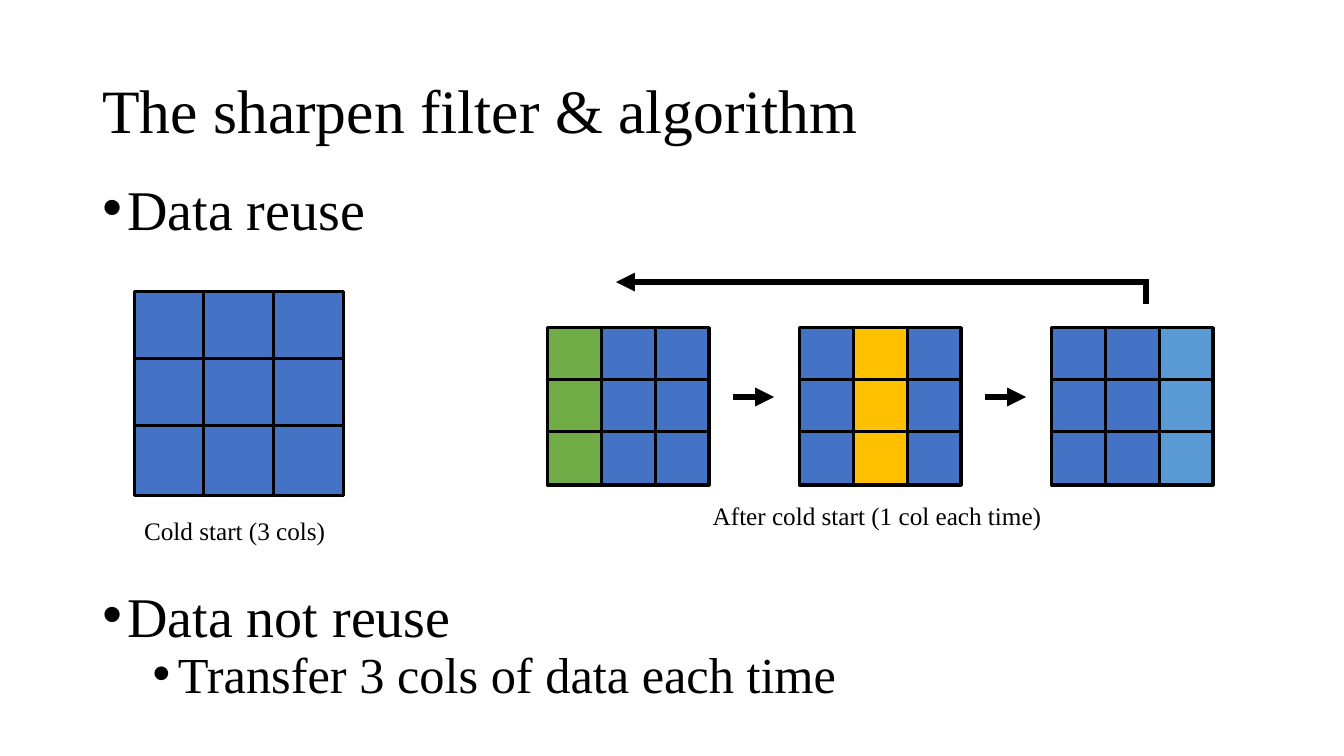
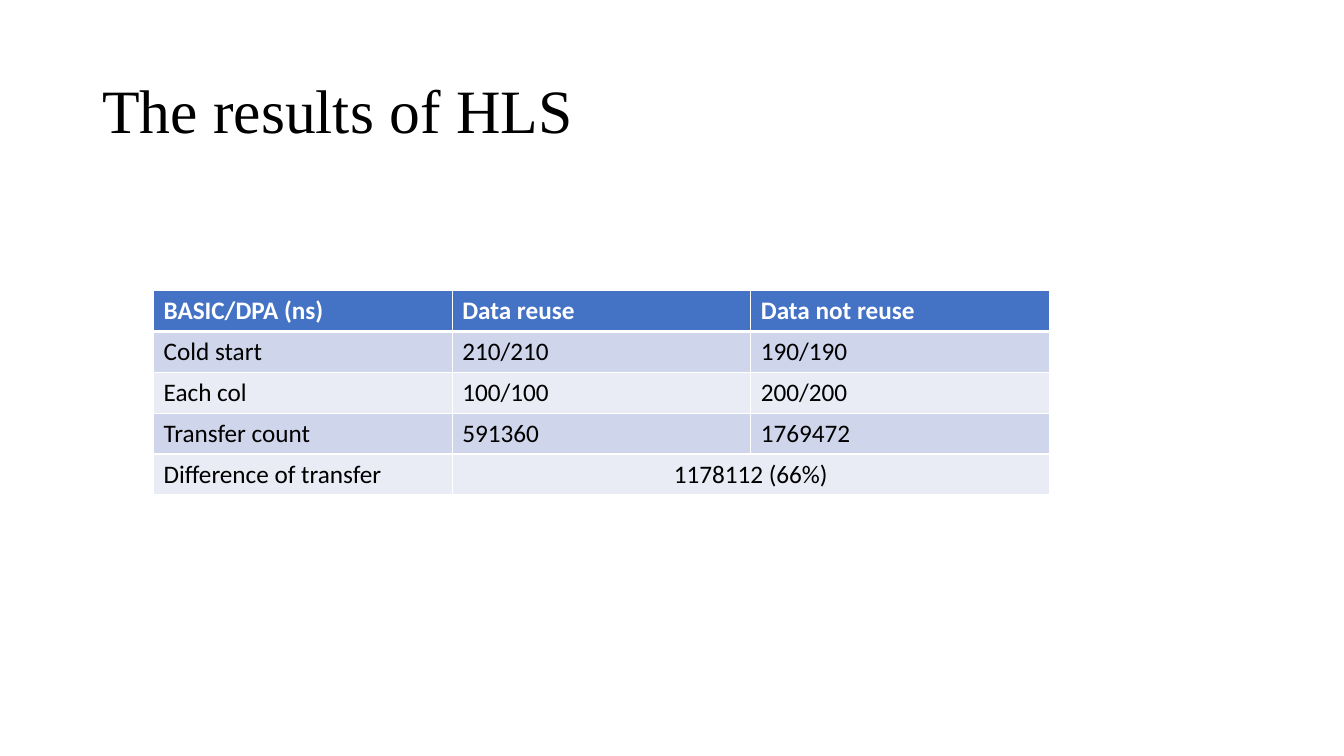
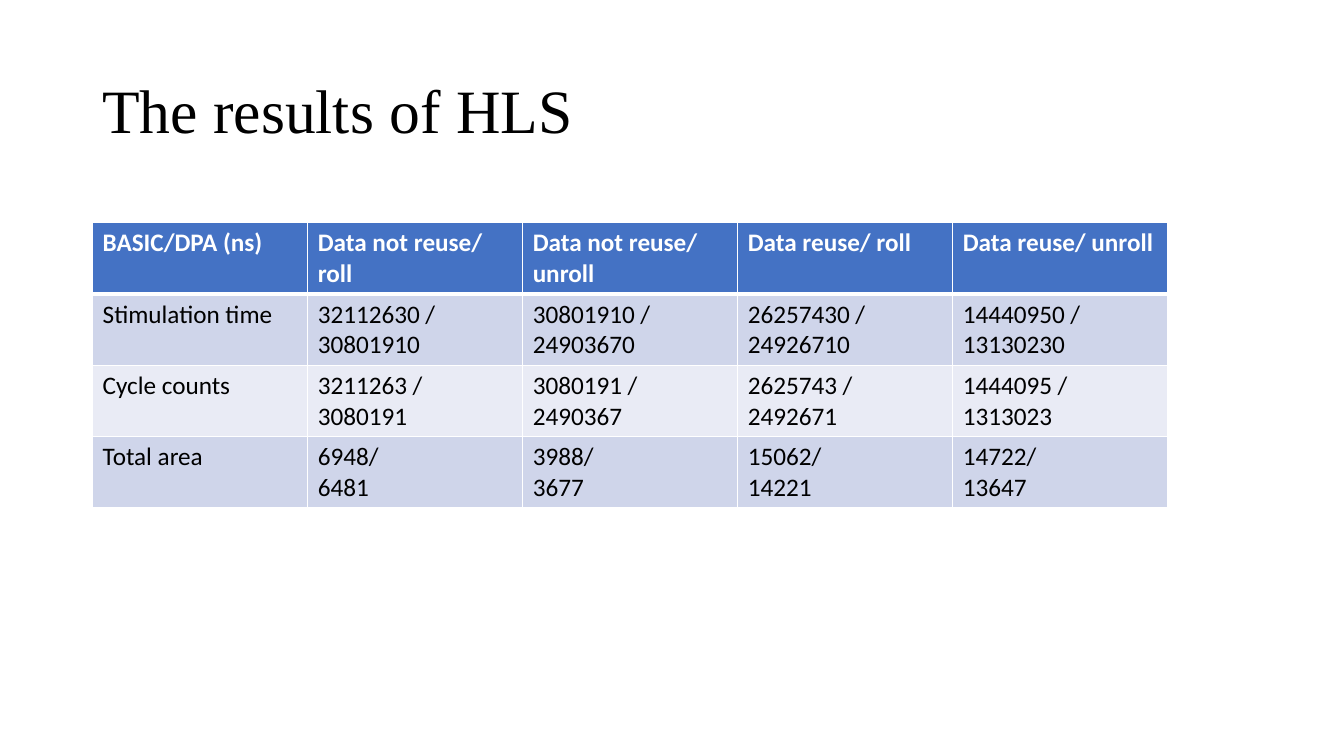
from lxml import etree
from pptx import Presentation
from pptx.dml.color import RGBColor
from pptx.enum import shapes, text
from pptx.oxml import ns
from pptx.util import Pt

COLORS = {
    "ink": "000000", "paper": "FFFFFF", "blue": "4472C4", "green": "70AD47",
    "gold": "FFC000", "sky": "5B9BD5", "band": "CFD5EA", "pale": "E9EBF5",
}
SERIF, SANS = "Times New Roman", "Calibri"
TITLE_BOX = (66, 28.75, 828, 104.4)
BULLET_STYLES = [
    {"size": 40, "margin": 18, "before": 10},
    {"size": 36, "margin": 54, "before": 5},
]
TIMING_ROWS = [
    ["BASIC/DPA (ns)", "Data reuse", "Data not reuse"],
    ["Cold start", "210/210", "190/190"],
    ["Each col", "100/100", "200/200"],
    ["Transfer count", "591360", "1769472"],
    ["Difference of transfer", "1178112 (66%)", ""],
]
COST_ROWS = [
    ["BASIC/DPA (ns)", "Data not reuse/ roll", "Data not reuse/ unroll",
     "Data reuse/ roll", "Data reuse/ unroll"],
    ["Stimulation time", "32112630 / 30801910", "30801910 / 24903670",
     "26257430 / 24926710", "14440950 / 13130230"],
    ["Cycle counts", "3211263 / 3080191", "3080191 / 2490367",
     "2625743 / 2492671", "1444095 / 1313023"],
    ["Total area", "6948/\n6481", "3988/\n3677", "15062/\n14221", "14722/\n13647"],
]


def rgb(name):
    """Return the named colour."""
    return RGBColor.from_string(COLORS[name])


def points(box):
    """Convert a sequence of numbers to lengths."""
    return [Pt(value) for value in box]


def apply(target, values):
    """Set each attribute of the target from a dict."""
    for key, value in values.items():
        setattr(target, key, value)


def style_font(font, size, face, color="ink", bold=False):
    """Set size, face, weight and colour of a font."""
    apply(font, {"size": Pt(size), "name": face, "bold": bold})
    font.color.rgb = rgb(color)


def add_text(slide, box, content, size, paragraph_format=None, anchor=text.MSO_ANCHOR.TOP):
    """Place one wrapped serif paragraph and return it."""
    frame = slide.shapes.add_textbox(*points(box)).text_frame
    apply(frame, {"word_wrap": True, "vertical_anchor": anchor, "text": content})
    line = frame.paragraphs[0]
    apply(line, paragraph_format or {})
    style_font(line.runs[0].font, size, SERIF)
    return line


def titled_slide(deck, title):
    """Add a blank slide with the shared title."""
    slide = deck.slides.add_slide(deck.slide_layouts[6])
    add_text(slide, TITLE_BOX, title, 44, {"line_spacing": 0.9}, text.MSO_ANCHOR.MIDDLE)
    return slide


def add_bullet(slide, box, content, level=0):
    """Place a bulleted line at the given level."""
    style = BULLET_STYLES[level]
    line = add_text(slide, box, content, style["size"],
                    {"line_spacing": 0.8, "space_before": Pt(style["before"])})
    properties = line._p.get_or_add_pPr()
    properties.set("marL", str(Pt(style["margin"])))
    properties.set("indent", str(-Pt(18)))
    etree.SubElement(properties, ns.qn("a:buFont")).set("typeface", "Arial")
    etree.SubElement(properties, ns.qn("a:buChar")).set("char", "•")


def add_window(slide, box, accents=None):
    """Draw a 3 by 3 pixel window with optional accent columns."""
    left, top, width, height = box
    side = width / 3
    pitch = (height - side) / 2
    window = slide.shapes.add_group_shape()
    for row in range(3):
        for col in range(3):
            pixel = window.shapes.add_shape(
                shapes.MSO_SHAPE.RECTANGLE,
                *points((left + col * side, top + row * pitch, side, side)))
            pixel.shadow.inherit = False
            pixel.fill.solid()
            pixel.fill.fore_color.rgb = rgb((accents or {}).get(col, "blue"))
            pixel.line.color.rgb = rgb("ink")
            pixel.line.width = Pt(2.25)


def add_line(slide, ends, arrow=True):
    """Draw a heavy straight line, with an arrowhead at its end if wanted."""
    stroke = slide.shapes.add_connector(shapes.MSO_CONNECTOR.STRAIGHT, *points(ends))
    stroke.line.color.rgb = rgb("ink")
    stroke.line.width = Pt(4.5)
    if arrow:
        etree.SubElement(stroke.line._get_or_add_ln(), ns.qn("a:tailEnd")).set("type", "triangle")
    etree.SubElement(stroke._element.spPr, ns.qn("a:effectLst"))


def add_reuse_cycle(slide, box):
    """Draw the three windows, the arrows between them and the return arrow."""
    left, top, width, height = box
    side = 115.5
    step = (width - side) / 2
    for index, accent in enumerate(("green", "gold", "sky")):
        start = left + index * step
        add_window(slide, (start, top, side, height), {index: accent})
        if index < 2:
            middle = top + 49.6
            add_line(slide, (start + 132.5, middle, start + 162, middle))
    corner = left + 427.7
    add_line(slide, (corner, top - 32.5, left + 49, top - 32.5))
    add_line(slide, (corner, top - 34.5, corner, top - 16.5), arrow=False)
    add_text(slide, (left, top + 119.5, width, 29), "After cold start (1 col each time) ",
             18, {"alignment": text.PP_ALIGN.CENTER})


def add_cold_start(slide, box):
    """Draw the fully loaded window and its caption."""
    left, top, width, height = box
    add_window(slide, box)
    add_text(slide, (left, top + height + 10.5, width, 29), "Cold start (3 cols)", 18)


def style_cell(cell, row):
    """Set borders, fill and font of a cell by its row."""
    properties = cell._tc.get_or_add_tcPr()
    heavy = {0: "lnB", 1: "lnT"}.get(row)
    for edge in ("lnL", "lnR", "lnT", "lnB"):
        border = etree.SubElement(properties, ns.qn("a:" + edge))
        border.set("w", str(Pt(3 if edge == heavy else 1)))
        paint = etree.SubElement(border, ns.qn("a:solidFill"))
        etree.SubElement(paint, ns.qn("a:srgbClr")).set("val", COLORS["paper"])
    header = row == 0
    cell.fill.solid()
    cell.fill.fore_color.rgb = rgb("blue" if header else "band" if row % 2 else "pale")
    for line in cell.text_frame.paragraphs:
        style_font(line.font, 18, SANS, "paper" if header else "ink", header)
        for run in line.runs:
            style_font(run.font, 18, SANS, "paper" if header else "ink", header)


def add_results(slide, box, rows):
    """Place a banded results table with equal rows and columns."""
    grid = slide.shapes.add_table(len(rows), len(rows[0]), *points(box)).table
    for row, values in enumerate(rows):
        for col, value in enumerate(values):
            cell = grid.cell(row, col)
            cell.text = value
            style_cell(cell, row)
    return grid


def algorithm_slide(deck):
    """Build the slide on reusing data."""
    slide = titled_slide(deck, "The sharpen filter & algorithm")
    add_bullet(slide, (66, 130.3, 676, 56), "Data reuse")
    add_bullet(slide, (66, 421, 676, 56), "Data not reuse")
    add_bullet(slide, (66, 464, 676, 52), "Transfer 3 cols of data each time", 1)
    add_cold_start(slide, (95.8, 208.1, 149.4, 145.6))
    add_reuse_cycle(slide, (391, 234, 475.5, 112.5))


def timing_slide(deck):
    """Build the slide on transfer timing."""
    slide = titled_slide(deck, "The results of HLS")
    grid = add_results(slide, (109.7, 207.5, 640, 146), TIMING_ROWS)
    difference = grid.cell(4, 1)
    difference.merge(grid.cell(4, 2))
    difference.text_frame.paragraphs[0].alignment = text.PP_ALIGN.CENTER


def cost_slide(deck):
    """Build the slide on time, cycles and area."""
    slide = titled_slide(deck, "The results of HLS")
    add_results(slide, (66.2, 159.2, 768, 203.6), COST_ROWS)


def main():
    """Build and save the deck."""
    deck = Presentation()
    apply(deck, {"slide_width": Pt(960), "slide_height": Pt(540)})
    for build in (algorithm_slide, timing_slide, cost_slide):
        build(deck)
    deck.save("out.pptx")


if __name__ == "__main__":
    main()
